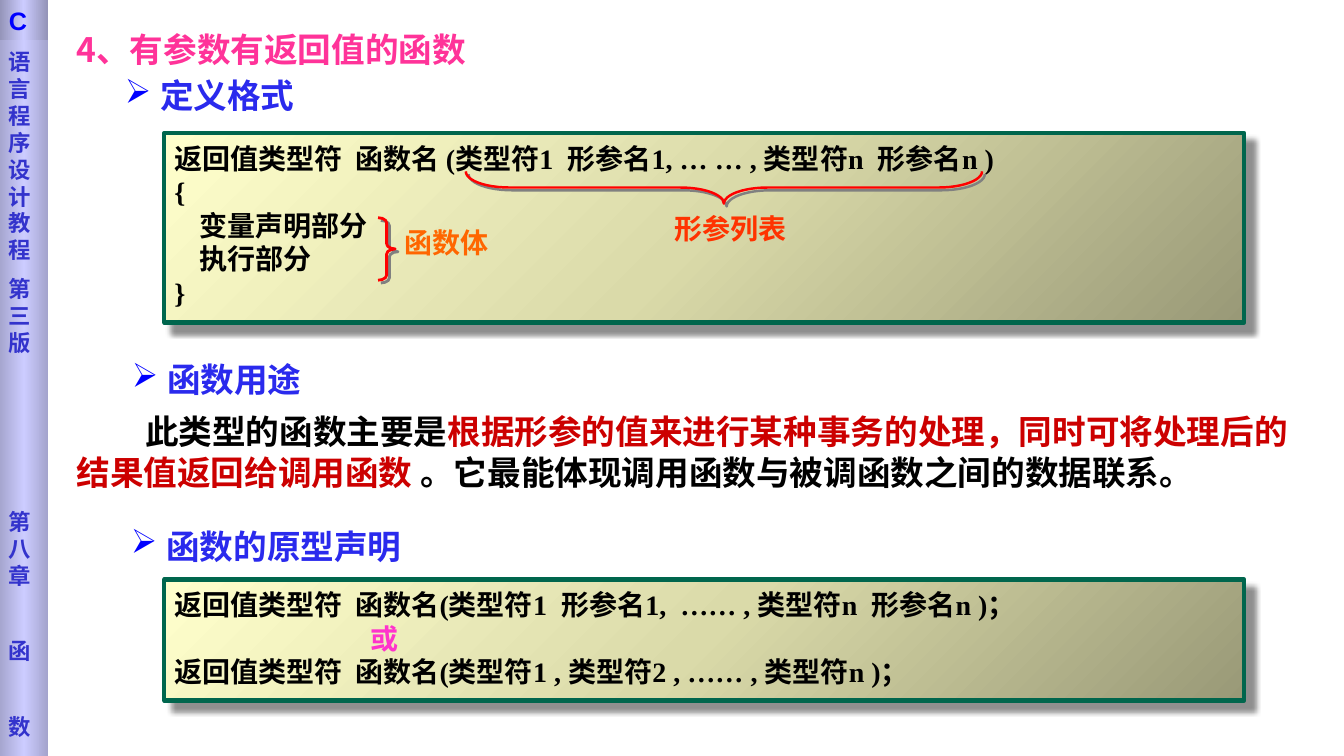
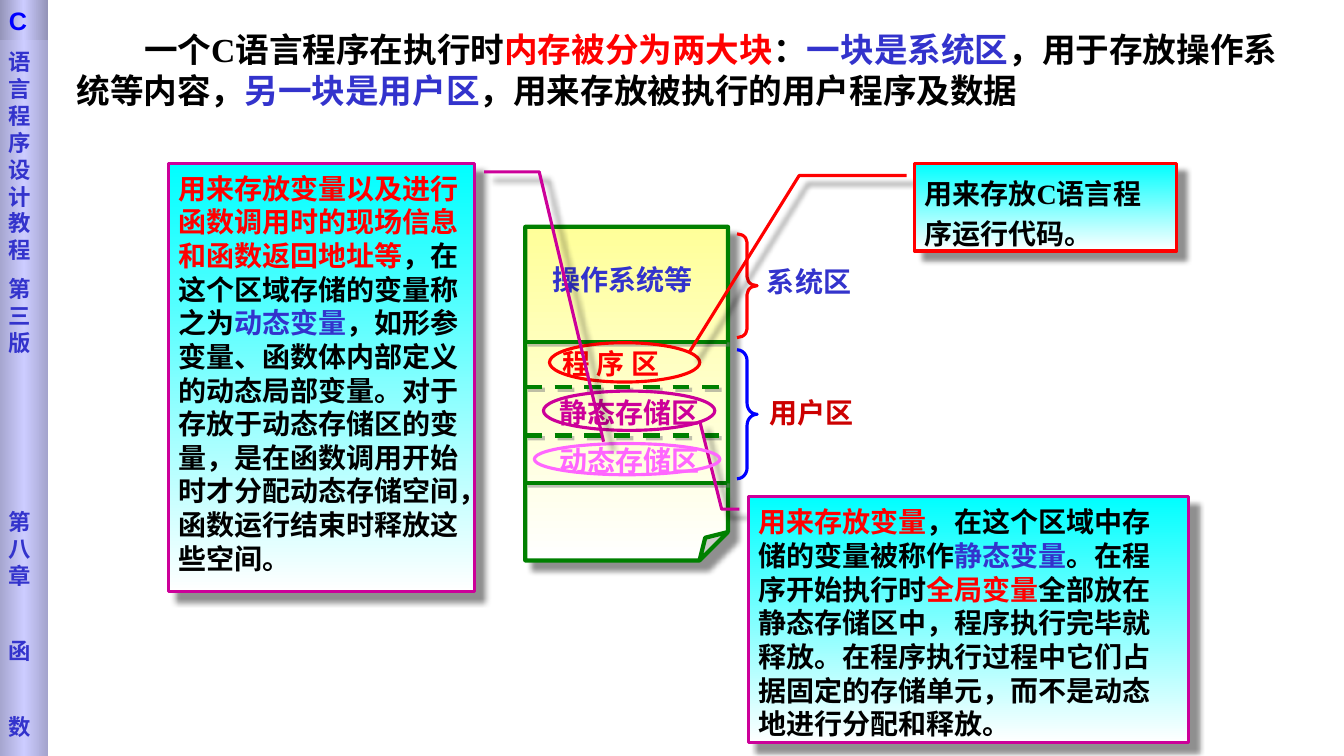
from lxml import etree
from pptx import Presentation, util as u
from pptx.dml.color import RGBColor
from pptx.enum import dml, shapes, text
from pptx.oxml.ns import qn


class Theme:
    black, red, blue, pure = "000000", "FF0000", "3333CC", "0000FF"
    wine, plum, pink, rose = "CC0000", "CC0099", "FF66FF", "FF3399"
    navy, teal, green = "2A2AED", "00664D", "008000"
    flame, orange, candy = "FF3300", "FF6600", "FF33CC"
    sand = (225, [(0, "999977"), (50, "DADAA9"), (100, "FFFFCC")])
    aqua = (90, [(0, "00FFFF"), (100, "FFFFFF")])
    cream = (90, [(0, "FFFF99"), (100, "FFFFFF")])
    band = (0, [(0, "A4A4CD"), (50, "CCCCFF"), (100, "A4A4CD")])
    cap = (0, [(0, "9292B6"), (50, "CCCCFF"), (100, "9292B6")])
    deep = ("000000", 43, 4, 8.4)
    hard = ("808080", 100, 0, 2.8)
    soft = ("808080", 50, 0, 2.8)
    big, norm, side, mark = 24, 20, 16, 18
    serif, sans, cjk, bar = "Times New Roman", "Arial", "Noto Sans CJK SC", "DejaVu Sans"


T = Theme
S = shapes.MSO_SHAPE
A = text.PP_ALIGN


def put(page, kind, at, fill=None, line=None, shade=None, adj=()):
    a, b, c, d = (u.Inches(v) for v in at)
    if kind is None:
        return page.shapes.add_textbox(a, b, c, d)
    if kind == "line":
        item = page.shapes.add_connector(shapes.MSO_CONNECTOR.STRAIGHT, a, b, c, d)
    else:
        item = page.shapes.add_shape(kind, a, b, c, d)
        if adj:
            guides = item._element.spPr.find(qn("a:prstGeom")).find(qn("a:avLst"))
            for part in list(guides):
                guides.remove(part)
            for i, v in enumerate(adj, 1):
                name = f"adj{i}" if len(adj) > 1 else "adj"
                etree.SubElement(guides, qn("a:gd"), name=name, fmla=f"val {round(v * 100000)}")
        if fill:
            item.fill.gradient()
            grad = item._element.spPr.find(qn("a:gradFill"))
            for part in list(grad):
                grad.remove(part)
            stops = etree.SubElement(grad, qn("a:gsLst"))
            for pos, tint in fill[1]:
                stop = etree.SubElement(stops, qn("a:gs"), pos=str(pos * 1000))
                etree.SubElement(stop, qn("a:srgbClr"), val=tint)
            etree.SubElement(grad, qn("a:lin"), ang=str(fill[0] * 60000), scaled="0")
        else:
            item.fill.background()
    if line:
        item.line.color.rgb = RGBColor.from_string(line[0])
        item.line.width = u.Pt(line[1])
    else:
        item.line.fill.background()
    glow = etree.SubElement(item._element.spPr, qn("a:effectLst"))
    if shade:
        tint, alpha, blur, dist = shade
        cast = etree.SubElement(glow, qn("a:outerShdw"), blurRad=str(u.Pt(blur)),
                                dist=str(u.Pt(dist)), dir="2700000", algn="tl", rotWithShape="0")
        hue = etree.SubElement(cast, qn("a:srgbClr"), val=tint)
        etree.SubElement(hue, qn("a:alpha"), val=str(alpha * 1000))
    return item


def say(item, paras, size=T.norm, face=T.cjk, pitch=1.2, top=0.08, align=A.LEFT, mid=False):
    frame = item.text_frame
    frame.word_wrap = True
    frame.margin_top = u.Inches(top)
    frame.vertical_anchor = text.MSO_ANCHOR.MIDDLE if mid else text.MSO_ANCHOR.TOP
    for i, runs in enumerate(paras):
        para = frame.add_paragraph() if i else frame.paragraphs[0]
        para.alignment = align
        para.line_spacing = u.Pt(size * pitch)
        for words, tint in runs:
            run = para.add_run()
            run.text = words
            run.font.size = u.Pt(size)
            run.font.bold = True
            run.font.name = face
            run.font.color.rgb = RGBColor.from_string(tint)
            etree.SubElement(run._r.rPr, qn("a:ea"), typeface=T.cjk)
    return frame.paragraphs


deck = Presentation()
deck.slide_width, deck.slide_height = u.Inches(13.33), u.Inches(7.5)
pages = [deck.slides.add_slide(deck.slide_layouts[6]) for _ in range(2)]

for page in pages:
    band = put(page, S.RECTANGLE, (-0.01, 0, 0.49, 7.5), T.band)
    words = ["语言程序设计教程", "第三版", "第八章", "函", "数"]
    paras = say(band, [[(w, T.blue)] for w in words], T.side, T.bar, top=0.48)
    for para, gap in zip(paras[1:], (8.6, 108.6, 35, 35)):
        para.space_before = u.Pt(gap)
    cap = put(page, S.RECTANGLE, (-0.01, 0, 0.49, 0.4), T.cap)
    say(cap, [[("C", T.pure)]], T.mark, T.sans, top=0.05)

page = pages[0]
say(put(page, None, (0.66, 0.21, 4.58, 0.5)), [[("4、有参数有返回值的函数", T.rose)]], T.big)

for words, x, y, w in [("定义格式", 1.14, 0.68, 2.73),
                       ("函数用途", 1.21, 3.5, 2.73),
                       ("函数的原型声明", 1.2, 5.15, 3.45)]:
    item = put(page, None, (x, y, w, 0.5))
    para = say(item, [[(words, T.navy)]], T.big, mid=True)[0]
    prop = para._p.get_or_add_pPr()
    prop.set("marL", str(u.Inches(0.35)))
    prop.set("indent", str(u.Inches(-0.35)))
    tint = etree.SubElement(prop, qn("a:buClr"))
    etree.SubElement(tint, qn("a:srgbClr"), val=T.pure)
    etree.SubElement(prop, qn("a:buChar"), char="➢")

code = ["返回值类型符  函数名 (类型符1  形参名1, … … , 类型符n  形参名n )",
        "{", "    变量声明部分", "    执行部分", "}"]
item = put(page, S.RECTANGLE, (1.63, 1.32, 10.71, 1.88), T.sand, (T.teal, 3), T.deep)
say(item, [[(row, T.black)] for row in code], face=T.serif)

put(page, S.RIGHT_BRACE, (3.75, 2.16, 0.17, 0.62), None, (T.red, 2), T.hard, (0.3, 0.5))
say(put(page, None, (3.91, 2.16, 1.1, 0.47)), [[("函数体", T.orange)]])
brace = put(page, S.LEFT_BRACE, (7.02, -0.7, 0.32, 5.12), None, (T.red, 1.75), T.hard, (1.35, 0.5))
brace.rotation = 270
say(put(page, None, (6.59, 2.02, 1.42, 0.43)), [[("形参列表", T.flame)]])

body = [("此类型的函数主要是", T.black),
        ("根据形参的值来进行某种事务的处理，同时可将处理后的结果值返回给调用函数 ", T.wine),
        ("。它最能体现调用函数与被调函数之间的数据联系。", T.black)]
para = say(put(page, None, (0.66, 4.01, 12.22, 0.91)), [body], T.big, T.serif, mid=True)[0]
para._p.get_or_add_pPr().set("indent", str(u.Inches(0.68)))

item = put(page, S.RECTANGLE, (1.63, 5.75, 10.71, 1.2), T.sand, (T.teal, 3), T.deep)
paras = say(item, [
    [("返回值类型符  函数名(类型符1  形参名1,  …… , 类型符n  形参名n )；", T.black)],
    [("或", T.candy)],
    [("返回值类型符  函数名(类型符1 , 类型符2 , …… , 类型符n )；", T.black)]], face=T.serif)
paras[1]._p.get_or_add_pPr().set("indent", str(u.Inches(1.95)))

page = pages[1]
body = [("一个C语言程序在执行时", T.black), ("内存被分为两大块", T.red), ("：", T.black),
        ("一块是系统区", T.blue), ("，用于存放操作系统等内容，", T.black),
        ("另一块是用户区", T.blue), ("，用来存放被执行的用户程序及数据", T.black)]
para = say(put(page, None, (0.66, 0.21, 12.15, 0.91)), [body], T.big, T.serif)[0]
para._p.get_or_add_pPr().set("indent", str(u.Inches(0.67)))

put(page, S.FOLDED_CORNER, (5.21, 2.25, 2.01, 3.31), T.cream, (T.green, 3), T.deep, (0.14,))
for y, dash in [(3.39, False), (3.84, True), (4.32, True), (4.79, False)]:
    rule = put(page, "line", (5.21, y, 7.21, y), None, (T.green, 3), T.soft)
    if dash:
        rule.line.dash_style = dml.MSO_LINE.DASH

for words, tint, at, align in [
        ("程 序 区", T.red, (5.48, 3.36, 1.74, 0.42), A.LEFT),
        ("静态存储区", T.plum, (5.45, 3.84, 1.73, 0.36), A.LEFT),
        ("动态存储区", T.pink, (5.45, 4.32, 1.64, 0.44), A.LEFT),
        ("操作系统等", T.blue, (5.38, 2.52, 1.65, 0.62), A.LEFT),
        ("系统区", T.blue, (7.36, 2.54, 1.33, 0.62), A.CENTER),
        ("用户区", T.wine, (7.42, 3.84, 1.25, 0.62), A.CENTER)]:
    say(put(page, None, at), [[(words, tint)]], align=align)

for y, h, tint, bend in [(2.32, 1.03, T.red, 0.43), (3.47, 1.28, T.pure, 0.54)]:
    put(page, S.RIGHT_BRACE, (7.31, y, 0.2, h), None, (tint, 2.25), None, (bend, 0.5))

code = [("用来存放C语言程序运行代码。", T.black)]
fixed = [("用来存放变量", T.red), ("，在这个区域中存储的变量被称作", T.black),
         ("静态变量", T.blue), ("。在程序开始执行时", T.black), ("全局变量", T.red),
         ("全部放在静态存储区中，程序执行完毕就释放。在程序执行过程中它们占据固定的存储单元，"
          "而不是动态地进行分配和释放。", T.black)]
live = [("用来存放变量以及进行函数调用时的现场信息和函数返回地址等", T.red),
        ("，在这个区域存储的变量称之为", T.black), ("动态变量", T.blue),
        ("，如形参变量、函数体内部定义的动态局部变量。对于存放于动态存储区的变量，"
         "是在函数调用开始时才分配动态存储空间，函数运行结束时释放这些空间。", T.black)]
for ring, hue, at, edge, adj, runs, pitch in [
        ((5.45, 3.4, 1.49, 0.39), T.red, (9.07, 1.62, 2.6, 0.87), T.red,
         (0.14, -0.03, 0.14, -0.44, 2.16, -0.86), code, 1.4),
        ((5.39, 3.88, 1.7, 0.39), T.plum, (7.42, 4.93, 4.37, 2.44), T.plum,
         (0.05, -0.02, 0.05, -0.06, -0.31, -0.11), fixed, 1.2),
        ((5.3, 4.4, 1.84, 0.31), T.pink, (1.67, 1.62, 3.04, 4.25), T.plum,
         (0.02, 1.03, 0.02, 1.21, 0.65, 1.42), live, 1.2)]:
    put(page, S.OVAL, ring, None, (hue, 2.25))
    note = put(page, S.LINE_CALLOUT_2, at, T.aqua, (edge, 2.25), T.deep, adj)
    say(note, [runs], face=T.serif, pitch=pitch)

deck.save("out.pptx")
